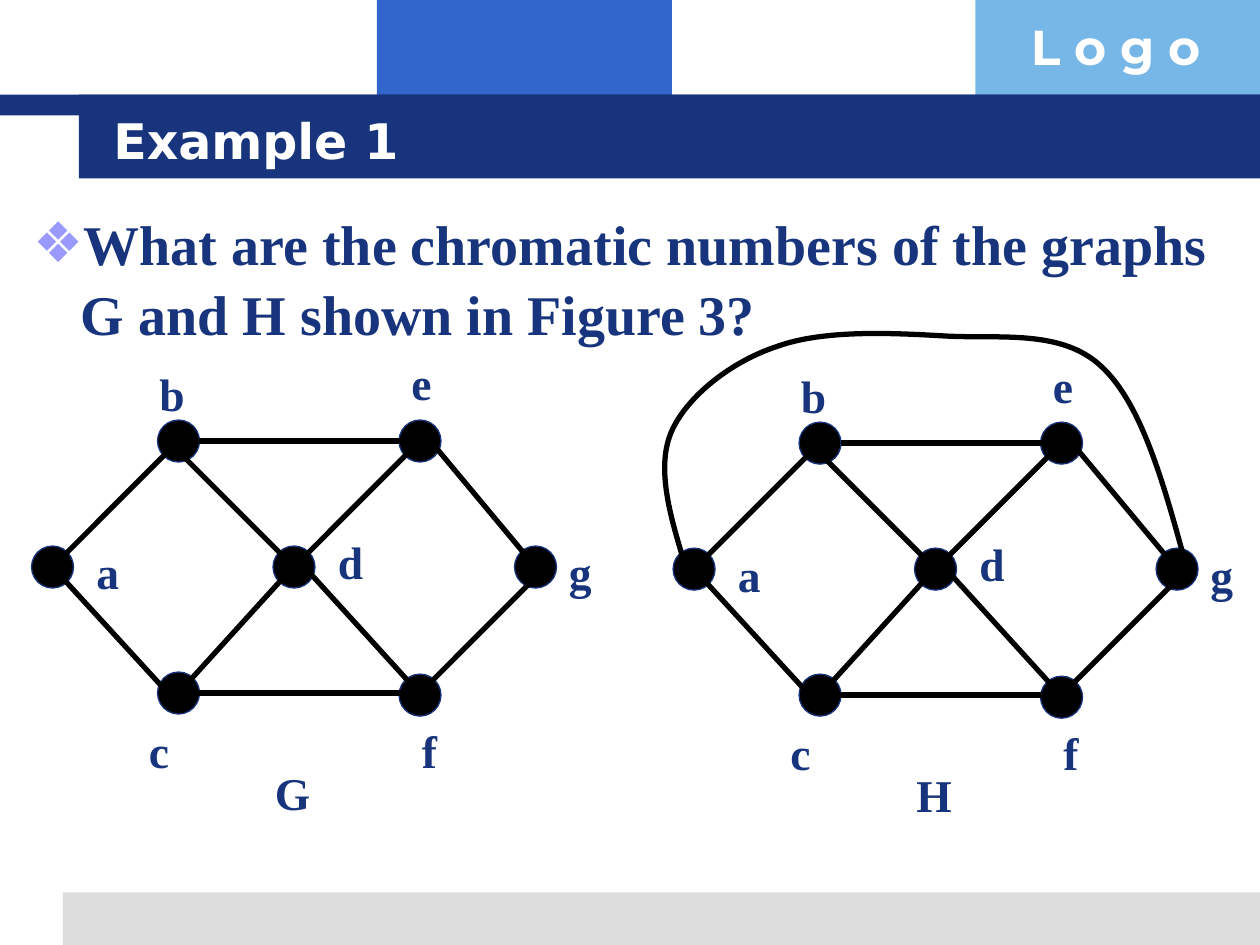
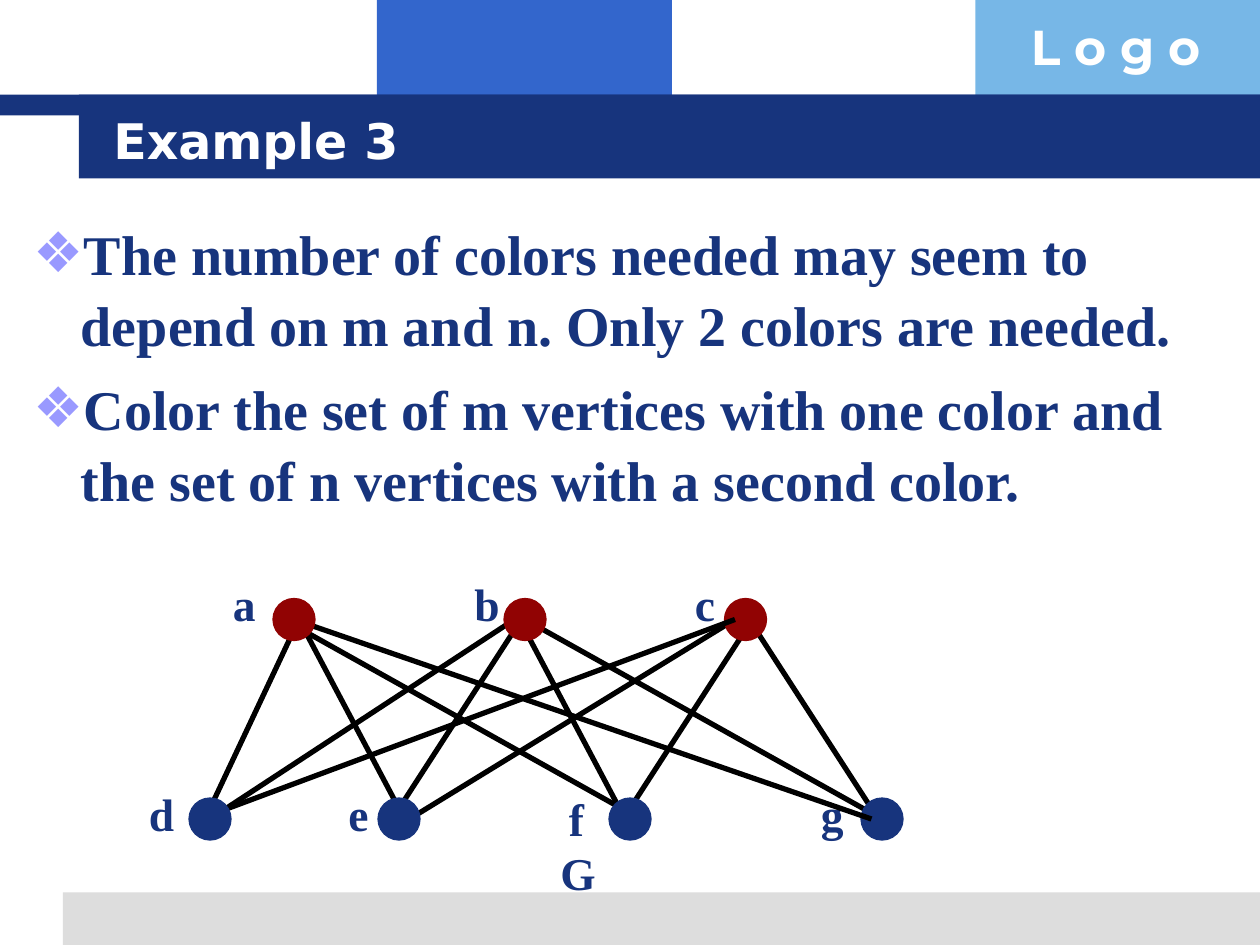
from dataclasses import dataclass
from itertools import chain

from lxml.etree import SubElement
from pptx import Presentation
from pptx.dml.color import RGBColor
from pptx.enum.shapes import MSO_CONNECTOR as Connector, MSO_SHAPE as Preset
from pptx.enum.text import MSO_ANCHOR as Anchor, MSO_AUTO_SIZE as AutoSize, PP_ALIGN as Align
from pptx.oxml.ns import qn
from pptx.util import Emu, Pt


@dataclass(frozen=True)
class Theme:
    """Colours, fonts and type sizes of the presentation."""
    navy: str = "17347D"
    blue: str = "3366CC"
    sky: str = "77B7E7"
    grey: str = "DDDDDD"
    white: str = "FFFFFF"
    black: str = "000000"
    red: str = "910303"
    bullet: str = "9999FF"
    title_font: str = "DejaVu Sans"
    logo_font: str = "Montserrat"
    text_font: str = "Times New Roman"
    title_size: int = 28
    body_size: int = 32
    label_size: int = 26
    body_spacing: float = 1.05


THEME = Theme()
EMU_PER_PX = 7620
SLIDE_SIZE = (1200, 900)
NODE = 40
LABEL_HEIGHT = 64
LABEL_WIDTHS = dict(a=45, b=48, c=43, d=48, e=43, f=38, g=45, G=58, H=58)

HEXAGON = dict(
    nodes=dict(a=(0, 190), b=(120, 70), c=(120, 310), d=(230, 190),
               e=(350, 70), f=(350, 312), g=(460, 190)),
    labels=dict(a=(50, 180), b=(110, 10), c=(100, 350), d=(280, 170),
                e=(350, 0), f=(360, 350), g=(500, 180)),
    edges=dict(ab=(30, 200, 130, 100), be=(160, 90, 360, 90), eg=(380, 90, 480, 210),
               ac=(20, 210, 130, 330), cd=(140, 330, 240, 220), de=(260, 200, 360, 100),
               cf=(150, 330, 360, 330), fg=(380, 320, 480, 220), bd=(140, 100, 240, 200),
               df=(260, 210, 360, 320)),
    order="a b c d e f g ab be eg ac cd de cf fg bd df",
    colours=dict.fromkeys("abcdefg", THEME.black),
)
HEXAGON_NAME = (220, 390)
OUTER_EDGE = [(9, 198), (-4, 155), (-16, 111), (-1, 78), (14, 45), (56, 12), (99, -2),
              (143, -18), (207, -15), (259, -12), (311, -9), (371, -19), (409, 18),
              (447, 54), (468, 131), (489, 208)]

BIPARTITE = dict(
    nodes=dict(a=(130, 30), b=(350, 30), c=(560, 30),
               d=(50, 220), e=(230, 220), f=(450, 220), g=(690, 220)),
    labels=dict(a=(80, 0), b=(310, 0), c=(520, 0),
                d=(0, 200), e=(190, 200), f=(400, 205), g=(640, 200), G=(392, 256)),
    edges=dict(ad=(70, 230, 150, 60), ae=(160, 60, 250, 230), af=(140, 50, 480, 240),
               ag=(150, 50, 700, 240), bd=(70, 240, 360, 50), be=(250, 230, 360, 60),
               bf=(370, 60, 460, 230), bg=(370, 50, 710, 240), cd=(60, 240, 570, 50),
               ce=(260, 240, 570, 50), cf=(470, 230, 580, 60), cg=(590, 60, 700, 230)),
    order="ad ae af bd be bf bg ce cf cg g c ag cd a b d e f",
    colours=dict.fromkeys("abc", THEME.red) | dict.fromkeys("defg", THEME.navy),
)


def px(*lengths):
    """Turn lengths in px into EMU."""
    return [Emu(length * EMU_PER_PX) for length in lengths]


def rgb(colour):
    """Make a colour from its hex digits."""
    return RGBColor.from_string(colour)


def write(paragraph, text, *, size, font=THEME.text_font, colour=THEME.navy, spacing=1.0, before=0):
    """Put bold text into a paragraph with the given format."""
    paragraph.alignment = Align.LEFT
    paragraph.line_spacing = spacing
    paragraph.space_before = Pt(before)
    run = paragraph.add_run()
    run.text = text
    run.font.name = font
    run.font.size = Pt(size)
    run.font.bold = True
    run.font.color.rgb = rgb(colour)


def add_text(slide, box, text, *, wrap=True, **text_format):
    """Add a text box that holds one paragraph."""
    shape = slide.shapes.add_textbox(*px(*box))
    frame = shape.text_frame
    frame.word_wrap = wrap
    frame.auto_size = AutoSize.SHAPE_TO_FIT_TEXT
    write(frame.paragraphs[0], text, **text_format)
    return shape


def add_filled(slide, preset, box, fill, outline=None):
    """Add a filled preset shape, outlined when a colour is given."""
    shape = slide.shapes.add_shape(preset, *px(*box))
    shape.shadow.inherit = False
    shape.fill.solid()
    shape.fill.fore_color.rgb = rgb(fill)
    if outline:
        shape.line.color.rgb = rgb(outline)
        shape.line.width = Pt(0.75)
    else:
        shape.line.fill.background()
    return shape


def style_edge(shape):
    """Give a graph edge its black stroke."""
    shape.line.color.rgb = rgb(THEME.black)
    shape.line.width = Pt(3)


def add_frame(slide):
    """Build the bands and the logo word and move them to the slide's layout."""
    bands = [
        ((359, 0, 281, 110), THEME.blue),
        ((929, 0, 271, 110), THEME.sky),
        ((60, 850, 1140, 50), THEME.grey),
        ((0, 90, 1200, 20), THEME.navy),
        ((75, 90, 1125, 80), THEME.navy),
    ]
    parts = [add_filled(slide, Preset.RECTANGLE, box, fill) for box, fill in bands]
    parts.append(add_text(slide, (970, 10, 230, 68), "L o g o", size=THEME.title_size,
                          font=THEME.logo_font, colour=THEME.white))
    for part in parts:
        slide.slide_layout.shapes.element.append(part.element)


def place(shape, box, anchor):
    """Move a placeholder to a box and return its text frame."""
    shape.left, shape.top, shape.width, shape.height = px(*box)
    frame = shape.text_frame
    frame.auto_size = AutoSize.NONE
    frame.vertical_anchor = anchor
    return frame


def fill_title(slide, text):
    """Write the slide title on the navy band."""
    frame = place(slide.shapes.title, (96, 96, 1024, 74), Anchor.MIDDLE)
    write(frame.paragraphs[0], text, size=THEME.title_size,
          font=THEME.title_font, colour=THEME.white)


def add_bullet(paragraph):
    """Give a paragraph a diamond bullet with a hanging indent."""
    properties = paragraph._p.get_or_add_pPr()
    indent = px(45)[0]
    properties.set("marL", str(indent))
    properties.set("indent", str(-indent))
    colour = SubElement(properties, qn("a:buClr"))
    SubElement(colour, qn("a:srgbClr"), val=THEME.bullet)
    SubElement(properties, qn("a:buChar"), char="❖")


def fill_body(slide, box, items):
    """Write the bulleted list in the body placeholder."""
    frame = place(slide.placeholders[1], box, Anchor.TOP)
    for index, item in enumerate(items):
        paragraph = frame.add_paragraph() if index else frame.paragraphs[0]
        add_bullet(paragraph)
        write(paragraph, item, size=THEME.body_size, spacing=THEME.body_spacing,
              before=8 if index else 0)


def add_edge(slide, left, top, ends):
    """Draw a straight edge between two points relative to the graph."""
    x1, y1, x2, y2 = ends
    edge = slide.shapes.add_connector(
        Connector.STRAIGHT, *px(left + x1, top + y1, left + x2, top + y2))
    style_edge(edge)
    SubElement(edge.element.spPr, qn("a:effectLst"))


def add_label(slide, left, top, text):
    """Add a vertex label or a graph name."""
    add_text(slide, (left, top, LABEL_WIDTHS[text], LABEL_HEIGHT), text, wrap=False,
             size=THEME.label_size, spacing=THEME.body_spacing)


def add_graph(slide, left, top, nodes, labels, edges, order, colours):
    """Draw labels, then vertices and edges from back to front."""
    for text, (x, y) in labels.items():
        add_label(slide, left + x, top + y, text)
    for name in order.split():
        if name in edges:
            add_edge(slide, left, top, edges[name])
        else:
            x, y = nodes[name]
            fill = colours[name]
            outline = THEME.navy if fill == THEME.black else fill
            add_filled(slide, Preset.OVAL, (left + x, top + y, NODE, NODE), fill, outline)


def add_curve(slide, left, top, points):
    """Draw a smooth edge through a chain of cubic Bézier points."""
    start, *rest = [(left + x, top + y) for x, y in points]
    builder = slide.shapes.build_freeform(*start, scale=EMU_PER_PX)
    builder.add_line_segments(rest, close=False)
    curve = builder.convert_to_shape()
    curve.shadow.inherit = False
    curve.fill.background()
    style_edge(curve)
    outline = next(curve.element.iter(qn("a:path")))
    segments = outline.findall(qn("a:lnTo"))
    for index in range(0, len(segments), 3):
        bezier = SubElement(outline, qn("a:cubicBezTo"))
        bezier.extend(chain.from_iterable(list(part) for part in segments[index:index + 3]))
    for segment in segments:
        outline.remove(segment)


def add_hexagon(slide, left, top, name):
    """Draw the seven-vertex graph with its name below."""
    add_graph(slide, left, top, **HEXAGON)
    x, y = HEXAGON_NAME
    add_label(slide, left + x, top + y, name)


def build_example_1(slide):
    """Build the slide with graphs G and H."""
    fill_title(slide, "Example 1")
    fill_body(slide, (20, 190, 1160, 680),
              ["What are the chromatic numbers of the graphs G and H shown in Figure 3?"])
    add_hexagon(slide, 30, 330, "G")
    add_hexagon(slide, 641, 332, "H")
    add_curve(slide, 641, 332, OUTER_EDGE)


def build_example_3(slide):
    """Build the slide with the two-coloured bipartite graph."""
    fill_title(slide, "Example 3")
    fill_body(slide, (20, 200, 1160, 320), [
        "The number of colors needed may seem to depend on m and n. Only 2 colors are needed.",
        "Color the set of m vertices with one color and the set of n vertices with a second color.",
    ])
    add_graph(slide, 130, 540, **BIPARTITE)


def main():
    """Build and save the presentation."""
    presentation = Presentation()
    presentation.slide_width, presentation.slide_height = px(*SLIDE_SIZE)
    layout = presentation.slide_layouts[1]
    first, second = [presentation.slides.add_slide(layout) for _ in range(2)]
    add_frame(first)
    build_example_1(first)
    build_example_3(second)
    presentation.save("out.pptx")


if __name__ == "__main__":
    main()
